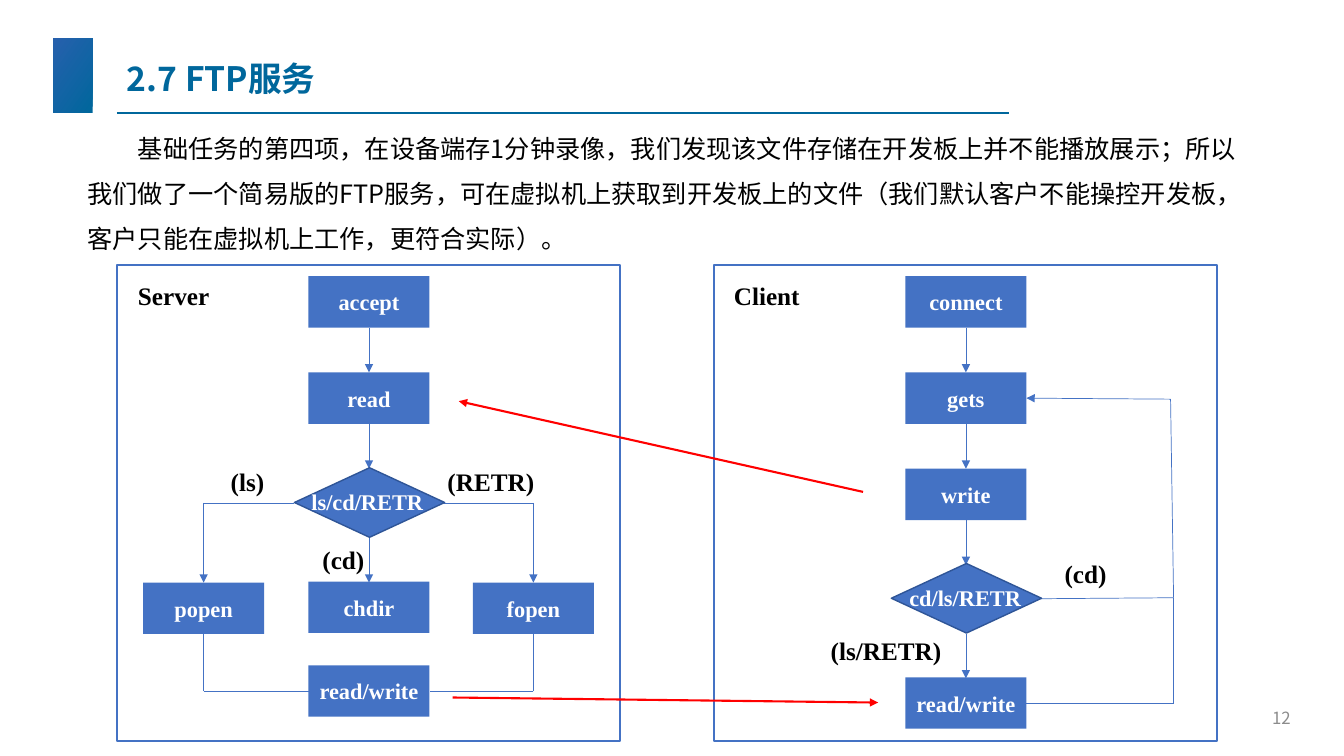
from dataclasses import dataclass

from lxml import etree
from pptx import Presentation
from pptx.dml.color import RGBColor
from pptx.enum import shapes, text
from pptx.oxml import ns
from pptx.util import Inches, Pt


@dataclass(frozen=True)
class Theme:
    teal: str = "00679C"
    indigo: str = "2660AD"
    blue: str = "4472C4"
    navy: str = "2F5597"
    red: str = "FF0000"
    black: str = "000000"
    white: str = "FFFFFF"
    grey: str = "8C8C8C"
    sans: str = "Noto Sans CJK SC"
    serif: str = "Times New Roman"
    title: int = 24
    body: int = 18
    step: int = 16
    number: int = 12


theme = Theme()
deck = Presentation()
deck.slide_width, deck.slide_height = Inches(13.33), Inches(7.5)
slide = deck.slides.add_slide(deck.slide_layouts[6])


def put(words, left, top, width, height, *, preset=None, fill=None, line=None,
        font=theme.serif, size=theme.body, color=theme.black, bold=True,
        align="LEFT", anchor="TOP", spacing=1.0, indent=0):
    area = [Inches(n) for n in (left, top, width, height)]
    if preset:
        part = slide.shapes.add_shape(preset, *area)
        part.shadow.inherit = False
        if fill:
            part.fill.solid()
            part.fill.fore_color.rgb = RGBColor.from_string(fill)
        else:
            part.fill.background()
        if line:
            part.line.color.rgb = RGBColor.from_string(line)
            part.line.width = Pt(1)
        else:
            part.line.fill.background()
    else:
        part = slide.shapes.add_textbox(*area)
    if words:
        frame = part.text_frame
        frame.word_wrap = True
        frame.vertical_anchor = text.MSO_ANCHOR[anchor]
        paragraph = frame.paragraphs[0]
        paragraph.alignment = text.PP_ALIGN[align]
        paragraph.line_spacing = spacing
        if indent:
            paragraph._p.get_or_add_pPr().set("indent", str(Inches(indent)))
        run = paragraph.add_run()
        run.text = words
        run.font.name, run.font.size, run.font.bold = font, Pt(size), bold
        run.font.color.rgb = RGBColor.from_string(color)
        etree.SubElement(run._r.rPr, ns.qn("a:ea"), typeface=font)
    return part


def connect(x1, y1, x2, y2, arrow=False, color=theme.blue, width=0.5):
    link = slide.shapes.add_connector(
        shapes.MSO_CONNECTOR.STRAIGHT, *[Inches(n) for n in (x1, y1, x2, y2)])
    link.line.color.rgb = RGBColor.from_string(color)
    link.line.width = Pt(width)
    if arrow:
        etree.SubElement(link.line._ln, ns.qn("a:tailEnd"), type="triangle")
    etree.SubElement(link._element.spPr, ns.qn("a:effectLst"))


box = shapes.MSO_SHAPE.RECTANGLE
diamond = shapes.MSO_SHAPE.FLOWCHART_DECISION

accent = put("", 0.53, 0.38, 0.39, 0.74, preset=box)
accent.fill.gradient()
accent.fill.gradient_angle = 145
for stop, shade in zip(accent.fill.gradient_stops, (theme.teal, theme.indigo)):
    stop.color.rgb = RGBColor.from_string(shade)
connect(1.16, 1.12, 10.01, 1.12, color=theme.teal, width=1)
put("2.7 FTP服务", 1.16, 0.47, 8.85, 0.65, font=theme.sans, size=theme.title,
    color=theme.teal, anchor="MIDDLE", spacing=0.9)
put("12", 9.9, 6.92, 3, 0.4, font=theme.sans, size=theme.number,
    color=theme.grey, bold=False, align="RIGHT", anchor="MIDDLE")
put("基础任务的第四项，在设备端存1分钟录像，我们发现该文件存储在开发板上并不能播放展示；"
    "所以我们做了一个简易版的FTP服务，可在虚拟机上获取到开发板上的文件"
    "（我们默认客户不能操控开发板，客户只能在虚拟机上工作，更符合实际）。",
    0.77, 1.12, 11.61, 1.21, font=theme.sans, bold=False, spacing=1.5, indent=0.5)

for panel_left in (1.16, 7.08):
    put("", panel_left, 2.63, 4.99, 4.72, preset=box, line=theme.blue)

server, client = 3.66, 9.58
popen, fopen = 2.02, 5.29
loop = 11.64
step_width, step_height = 1.2, 0.51
first_row, row_gap = 2.74, 0.955

flow_links = [(server, row) for row in range(2)] + [(client, row) for row in range(3)]
for center, row in flow_links:
    step_top = first_row + row * row_gap
    connect(center, step_top + step_height, center, step_top + row_gap, arrow=True)

for branch, corner in ((popen, 2.92), (fopen, 4.4)):
    connect(corner, 4.99, branch, 4.99)
    connect(branch, 4.99, branch, 5.78, arrow=True)
    connect(branch, 6.29, branch, 6.86)
    connect(branch, 6.86, server + (step_width / 2 if branch > server else -step_width / 2), 6.86)
connect(server, 5.33, server, 5.78, arrow=True)

connect(client, 6.29, client, 6.73, arrow=True)
connect(10.32, 5.94, loop, 5.93)
connect(10.18, 6.98, loop, 6.98)
connect(loop, 6.98, loop, 5.93)
connect(loop, 5.93, 11.61, 3.96)
connect(11.61, 3.96, 10.18, 3.95, arrow=True)

steps = [
    ("accept", server, first_row), ("read", server, first_row + row_gap),
    ("popen", popen, 5.78), ("chdir", server, 5.77), ("fopen", fopen, 5.78),
    ("read/write", server, 6.6),
    ("connect", client, first_row), ("gets", client, first_row + row_gap),
    ("write", client, first_row + 2 * row_gap), ("read/write", client, 6.72),
]
for step, center, step_top in steps:
    put(step, center - step_width / 2, step_top, step_width, step_height,
        preset=box, fill=theme.blue, size=theme.step, color=theme.white,
        align="CENTER", anchor="MIDDLE")

decisions = [("ls/cd/RETR", 2.92, 4.64, 2.99, 4.79),
             ("cd/ls/RETR", 8.84, 5.59, 8.92, 5.75)]
for decision, left, top, words_left, words_top in decisions:
    put("", left, top, 1.49, 0.69, preset=diamond, fill=theme.blue, line=theme.navy)
    put(decision, words_left, words_top, 1.62, 0.5, size=theme.step, color=theme.white)

labels = [
    ("Server", 1.27, 2.73, 0.92), ("Client", 7.18, 2.73, 0.92),
    ("(ls)", 2.19, 4.58, 0.87), ("(RETR)", 4.34, 4.58, 1.16),
    ("(cd)", 3.1, 5.35, 1.16), ("(cd)", 10.46, 5.49, 0.69),
    ("(ls/RETR)", 8.14, 6.25, 1.39),
]
for label, left, top, width in labels:
    put(label, left, top, width, 0.4)

for message in ((8.56, 4.88, 4.55, 3.98), (4.49, 6.92, 8.71, 6.97)):
    connect(*message, arrow=True, color=theme.red, width=1.5)

deck.save("out.pptx")
